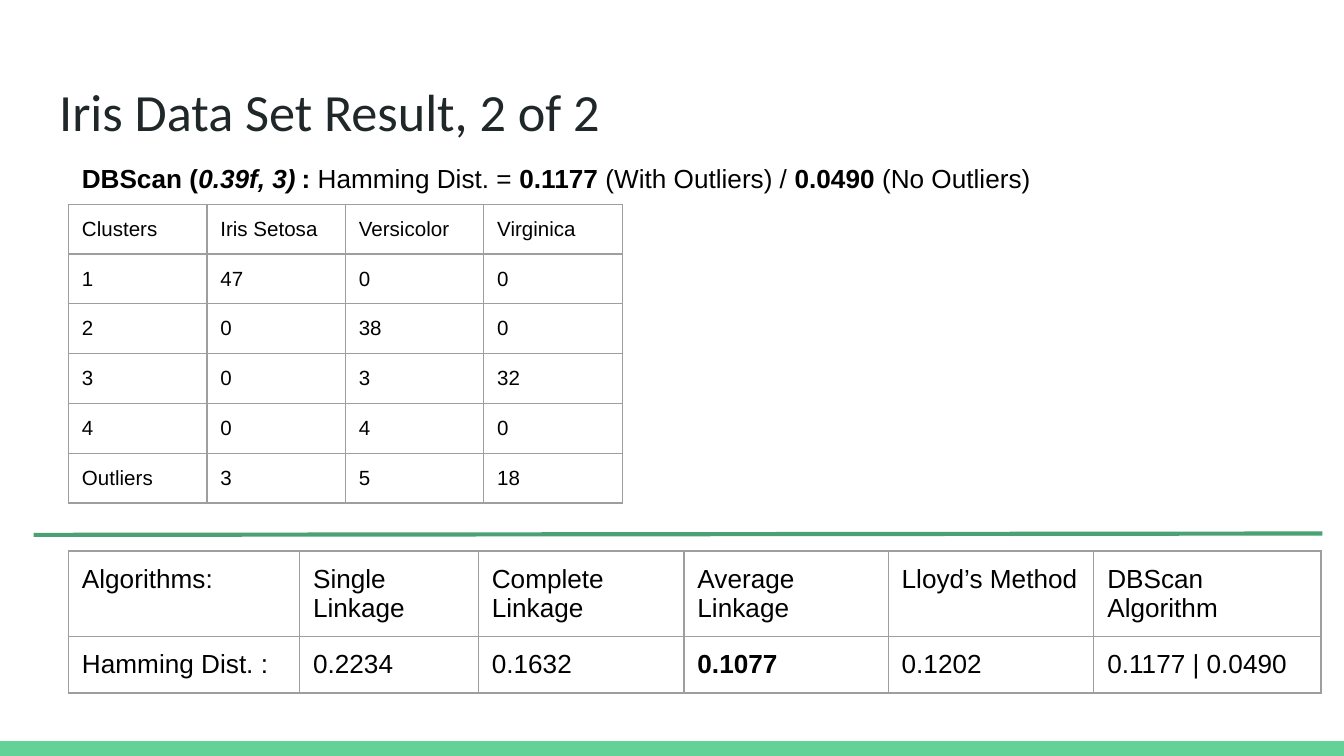
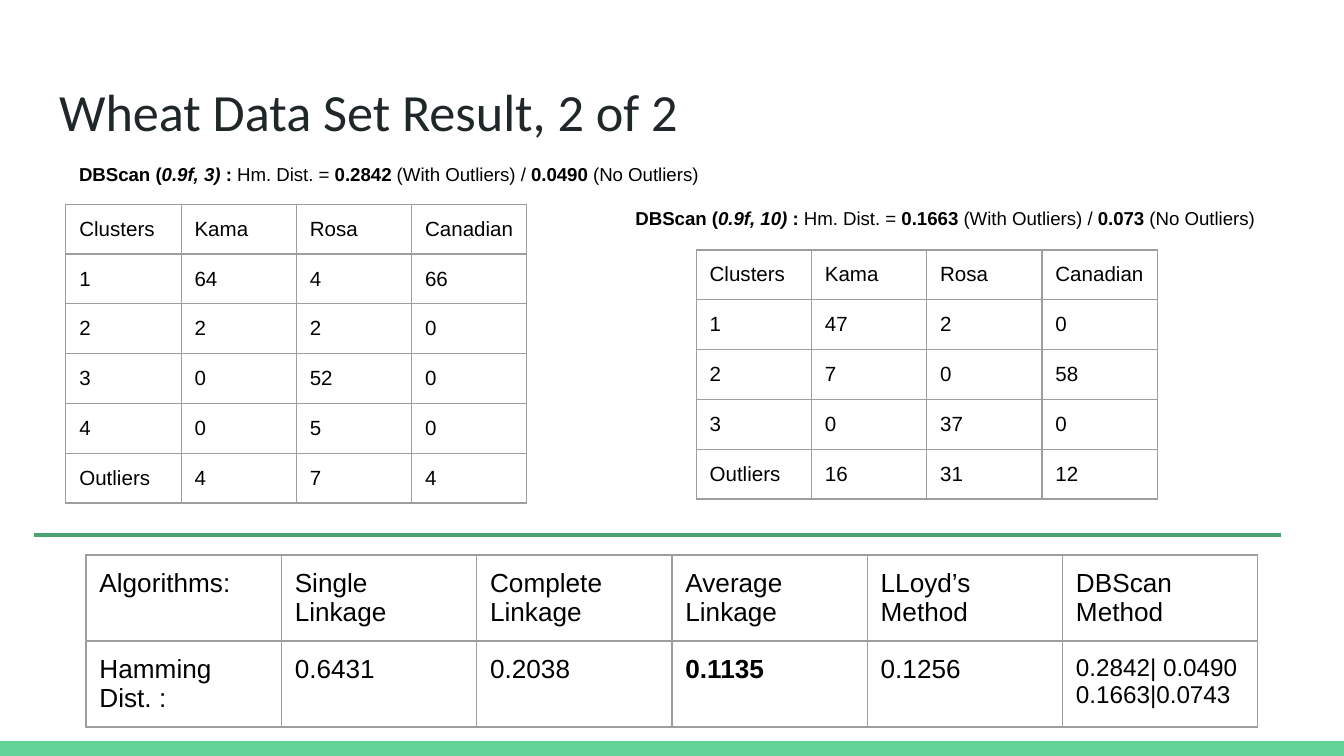
from pptx import Presentation
from pptx import util as u
from pptx.dml.color import RGBColor
from pptx.enum import shapes, text
from pptx.oxml import parse_xml
from pptx.oxml.ns import nsdecls

COLORS = {"band": "63D297", "rule": "4BA173", "title": "202729",
          "text": "000000", "border": "9E9E9E", "background": "FFFFFF"}
TITLE_FONT, BODY_FONT = "Calibri", "Arial"
SLIDE_WIDTH = 10
SLIDE_HEIGHT = SLIDE_WIDTH * 9 / 16
INSET = 0.1
CLUSTER_ROW = 0.37


def color(name):
    return RGBColor.from_string(COLORS[name])


def add_run(paragraph, content, size, bold=False, italic=False, font=BODY_FONT, tone="text"):
    run = paragraph.add_run()
    run.text = content
    run.font.name = font
    run.font.size = u.Pt(size)
    run.font.bold = bold
    run.font.italic = italic
    run.font.color.rgb = color(tone)


def set_frame(frame):
    frame.word_wrap = True
    frame.auto_size = text.MSO_AUTO_SIZE.NONE
    frame.vertical_anchor = text.MSO_ANCHOR.TOP
    frame.margin_left = frame.margin_right = u.Inches(INSET)
    frame.margin_top = frame.margin_bottom = u.Inches(INSET)


def add_base_slide(presentation, title):
    """Slide with the shared background, bottom band and title."""
    slide = presentation.slides.add_slide(presentation.slide_layouts[5])
    slide.background.fill.solid()
    slide.background.fill.fore_color.rgb = color("background")

    # Bottom band
    height = 0.11
    band = slide.shapes.add_shape(
        shapes.MSO_SHAPE.RECTANGLE, 0, u.Inches(SLIDE_HEIGHT - height),
        u.Inches(SLIDE_WIDTH), u.Inches(height))
    band.shadow.inherit = False
    band.fill.solid()
    band.fill.fore_color.rgb = color("band")
    band.line.fill.background()

    # Title
    holder = slide.shapes.title
    holder.left, holder.top = u.Inches(0.34), u.Inches(0.49)
    holder.width, holder.height = u.Inches(9.32), u.Inches(0.63)
    set_frame(holder.text_frame)
    paragraph = holder.text_frame.paragraphs[0]
    paragraph.alignment = text.PP_ALIGN.LEFT
    add_run(paragraph, title, 28, font=TITLE_FONT, tone="title")
    return slide


def add_rule(slide, start, end):
    """Green line that separates clusters from the comparison."""
    points = [u.Inches(value) for value in (*start, *end)]
    rule = slide.shapes.add_connector(shapes.MSO_CONNECTOR.STRAIGHT, *points)
    rule.line.color.rgb = color("rule")
    rule.line.width = u.Pt(2.25)
    rule._element.spPr.append(parse_xml(f"<a:effectLst {nsdecls('a')}/>"))


def format_cell(cell):
    cell.margin_left = cell.margin_right = u.Inches(INSET)
    cell.margin_top = cell.margin_bottom = u.Inches(INSET)
    properties = cell._tc.get_or_add_tcPr()
    for side in ("lnL", "lnR", "lnT", "lnB"):
        properties.append(parse_xml(
            f'<a:{side} {nsdecls("a")} w="{u.Pt(0.75)}"><a:solidFill>'
            f'<a:srgbClr val="{COLORS["border"]}"/></a:solidFill></a:{side}>'))
    cell.fill.background()


def add_grid(slide, left, top, widths, heights, rows, size, styles=None):
    """Bordered table; styles maps (row, column) to run settings."""
    table = slide.shapes.add_table(
        len(rows), len(widths), u.Inches(left), u.Inches(top),
        u.Inches(sum(widths)), u.Inches(sum(heights))).table
    table.first_row = table.horz_banding = False
    for column, width in zip(table.columns, widths):
        column.width = u.Inches(width)
    for row, height in zip(table.rows, heights):
        row.height = u.Inches(height)
    for i, values in enumerate(rows):
        for j, value in enumerate(values):
            cell = table.cell(i, j)
            format_cell(cell)
            settings = {"size": size, **(styles or {}).get((i, j), {})}
            for k, line in enumerate(str(value).split("\n")):
                frame = cell.text_frame
                paragraph = frame.add_paragraph() if k else frame.paragraphs[0]
                add_run(paragraph, line, **settings)


def add_clusters(slide, left, top, width, species, counts):
    """Cluster table: numbered rows, then the outliers."""
    labels = [*range(1, len(counts)), "Outliers"]
    rows = [["Clusters", *species]]
    rows += [[label, *values] for label, values in zip(labels, counts)]
    columns = len(rows[0])
    add_grid(slide, left, top, [width / columns] * columns,
             [CLUSTER_ROW] * len(rows), rows, 11)


def add_comparison(slide, left, top, widths, heights, last_names, distances, dbscan_size=14):
    """Table of Hamming distances with the best one in bold."""
    linkages = [f"{kind} Linkage" for kind in ("Single", "Complete", "Average")]
    rows = [["Algorithms:", *linkages, *last_names], ["Hamming Dist. :", *distances]]
    styles = {(1, 3): {"bold": True}, (1, 5): {"size": dbscan_size}}
    add_grid(slide, left, top, widths, heights, rows, 14, styles)


def add_caption(slide, left, top, width, size, parameters, label, distances, gap_run=None):
    """DBScan settings and distances with and without outliers."""
    box = slide.shapes.add_textbox(u.Inches(left), u.Inches(top), u.Inches(width), u.Inches(0.3))
    set_frame(box.text_frame)
    paragraph = box.text_frame.paragraphs[0]
    with_outliers, without_outliers = distances
    add_run(paragraph, "DBScan (", size, bold=True)
    add_run(paragraph, parameters, size, bold=True, italic=True)
    if gap_run:
        add_run(paragraph, " ", gap_run, italic=True)
    for content, bold in ((":", True), (f" {label} = ", False), (with_outliers, True),
                          (" (With Outliers) / ", False), (without_outliers, True),
                          (" (No Outliers)", False)):
        add_run(paragraph, content, size, bold=bold)


def build_iris(presentation):
    slide = add_base_slide(presentation, "Iris Data Set Result, 2 of 2")
    left = 0.51
    add_comparison(slide, left, 4.1, [1.72, 1.33, 1.53, 1.52, 1.53, 1.69], [0.63, 0.42],
                   ["Lloyd’s Method", "DBScan Algorithm"],
                   ["0.2234", "0.1632", "0.1077", "0.1202", "0.1177 | 0.0490"])
    add_clusters(slide, left, 1.52, 4.12, ["Iris Setosa", "Versicolor", "Virginica"],
                 [(47, 0, 0), (0, 38, 0), (0, 3, 32), (0, 4, 0), (3, 5, 18)])
    add_caption(slide, left, 1.11, 9.02, 14, "0.39f, 3)", "Hamming Dist.",
                ("0.1177", "0.0490"), gap_run=11)
    add_rule(slide, (0.25, 3.98), (9.84, 3.97))


def build_wheat(presentation):
    slide = add_base_slide(presentation, "Wheat Data Set Result, 2 of 2")
    species = ["Kama", "Rosa", "Canadian"]
    add_comparison(slide, 0.64, 4.13, [8.72 / 6] * 6, [0.64] * 2,
                   ["LLoyd’s Method", "DBScan Method"],
                   ["0.6431", "0.2038", "0.1135", "0.1256", "0.2842| 0.0490\n0.1663|0.0743"],
                   dbscan_size=13)

    # Left: at least 3 points
    add_clusters(slide, 0.49, 1.52, 3.43, species,
                 [(64, 4, 66), (2, 2, 0), (0, 52, 0), (0, 5, 0), (4, 7, 4)])
    add_caption(slide, 0.49, 1.11, 7.2, 10, "0.9f, 3) ", "Hm. Dist.", ("0.2842", "0.0490"))

    # Right: at least 10 points
    add_clusters(slide, 5.18, 1.86, 3.43, species,
                 [(47, 2, 0), (7, 0, 58), (0, 37, 0), (16, 31, 12)])
    add_caption(slide, 4.63, 1.44, 5.31, 10, "0.9f, 10) ", "Hm. Dist.", ("0.1663", "0.073"))
    add_rule(slide, (0.25, 3.98), (9.53, 3.98))


def main():
    presentation = Presentation()
    presentation.slide_width = u.Inches(SLIDE_WIDTH)
    presentation.slide_height = u.Inches(SLIDE_HEIGHT)
    build_iris(presentation)
    build_wheat(presentation)
    presentation.save("out.pptx")


if __name__ == "__main__":
    main()
